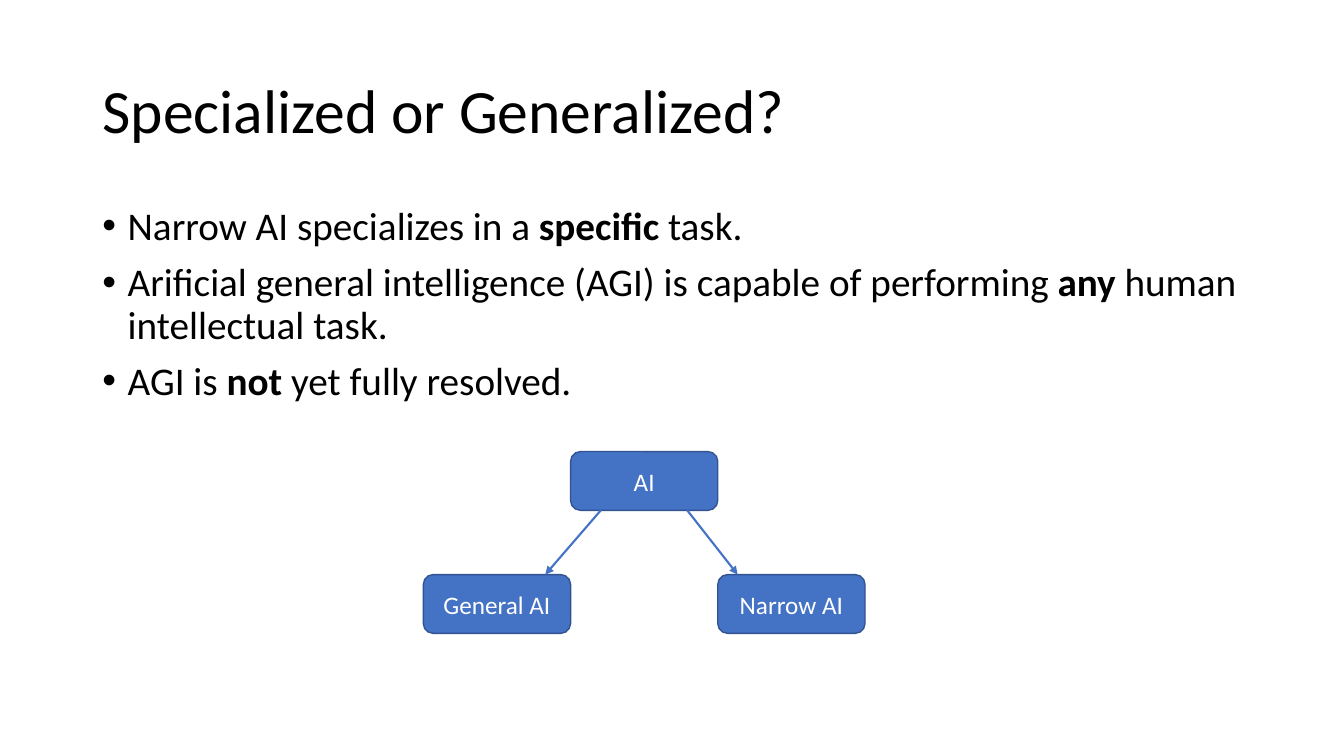
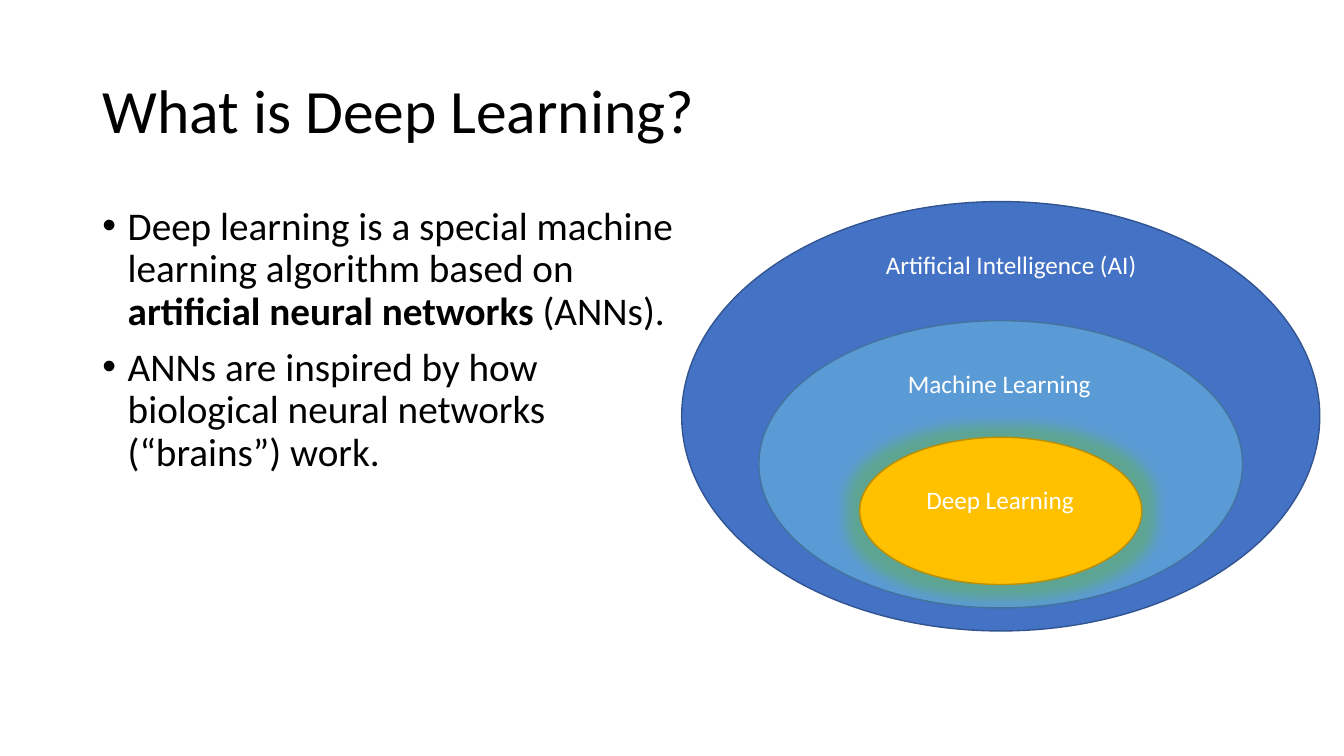
import pptx
import pptx.util
import pptx.dml.color
import pptx.enum.shapes
import pptx.enum.text
import pptx.oxml
import pptx.oxml.ns
from lxml import etree

Cm, Pt = pptx.util.Cm, pptx.util.Pt
SHAPE = pptx.enum.shapes.MSO_SHAPE
ALIGN = pptx.enum.text.PP_ALIGN
ANCHOR = pptx.enum.text.MSO_ANCHOR
FIT = pptx.enum.text.MSO_AUTO_SIZE

# Content: body paragraphs are lists of (text, bold) runs
SPECIALIZED = {
    "title": "Specialized or Generalized?",
    "body_width": 29.21,
    "body": [
        [("Narrow AI specializes in a ", False), ("specific", True), (" task.", False)],
        [("Arificial general intelligence (AGI) is capable of performing ", False),
         ("any", True), (" human intellectual task.", False)],
        [("AGI is ", False), ("not", True), (" yet fully resolved.", False)],
    ],
}
DEEP = {
    "title": "What is Deep Learning?",
    "body_width": 15.01,
    "body": [
        [("Deep learning is a special machine learning algorithm based on ", False),
         ("artificial neural networks", True), (" (ANNs).", False)],
        [("ANNs are inspired by how biological neural networks (“brains”) work.", False)],
    ],
}
# Tree nodes: text, column, row
NODES = [("AI", 1, 0), ("Narrow AI", 2, 1), ("General AI", 0, 1)]
# Arrows: x at the parent's bottom, x at the child's top
ARROWS = [(15.14, 13.74), (17.32, 18.59)]
# Nested fields: label, label centre, label width, top, width, height, fill, line
FIELDS = [
    ("Artificial Intelligence (AI)", 25.53, 6.91, 5.08, 16.08, 10.82, "blue", "blue_line"),
    ("Machine Learning", 25.22, 5.18, 8.08, 12.19, 7.24, "sky", "sky_line"),
    ("Deep Learning", 25.24, 4.29, 11.02, 7.11, 3.71, "gold", "gold_line"),
]

# Shared look
COLORS = {
    "text": "000000", "white": "FFFFFF", "glow": "62B52E",
    "blue": "4472C4", "blue_line": "325491",
    "sky": "5B9BD5", "sky_line": "43739E",
    "gold": "FFC000", "gold_line": "BD8E00",
}
FONT = "Calibri"
TITLE = {"size": Pt(44), "name": FONT, "bold": False}
BODY = {"size": Pt(28), "name": FONT}
LABEL = {"size": Pt(18), "name": FONT}
LEFT = 2.33
NODE_W, NODE_H = 3.71, 1.48
TREE_LEFT, TREE_TOP, ROW_STEP = 10.67, 11.38, 3.1
FIELD_CENTRE, LABEL_DROP, LABEL_H = 25.22, 1.07, 1.02


def rgb(name):
    return pptx.dml.color.RGBColor.from_string(COLORS[name])


def set_all(target, values):
    for key, value in values.items():
        setattr(target, key, value)


def set_font(font, values, color):
    set_all(font, values)
    font.color.rgb = rgb(color)


def place(sp, *box):
    set_all(sp, dict(zip(("left", "top", "width", "height"), map(Cm, box))))


def add_bullet(p):
    pPr = p._p.get_or_add_pPr()
    pPr.set("marL", str(Cm(0.64)))
    pPr.set("indent", str(-Cm(0.64)))
    for tag, key, value in (("a:buFont", "typeface", "Arial"), ("a:buChar", "char", "•")):
        etree.SubElement(pPr, pptx.oxml.ns.qn(tag)).set(key, value)


def add_slide(prs, content):
    s = prs.slides.add_slide(prs.slide_layouts[5])
    # Title
    sp = s.shapes.title
    place(sp, LEFT, 1.01, 29.21, 3.68)
    tf = sp.text_frame
    tf.text = content["title"]
    set_all(tf, {"word_wrap": True, "vertical_anchor": ANCHOR.MIDDLE, "auto_size": FIT.NONE})
    p = tf.paragraphs[0]
    set_all(p, {"alignment": ALIGN.LEFT, "line_spacing": 0.9})
    set_font(p.runs[0].font, TITLE, "text")
    # Bulleted body
    tf = s.shapes.add_textbox(Cm(LEFT), Cm(5.08), Cm(content["body_width"]), Cm(12.09)).text_frame
    tf.word_wrap = True
    for i, runs in enumerate(content["body"]):
        p = tf.add_paragraph() if i else tf.paragraphs[0]
        add_bullet(p)
        set_all(p, {"line_spacing": 0.9, "space_before": Pt(10 if i else 0)})
        for text, bold in runs:
            r = p.add_run()
            r.text = text
            set_font(r.font, {**BODY, "bold": bold}, "text")
    return s


def add_filled(s, kind, box, fill, line):
    sp = s.shapes.add_shape(kind, *map(Cm, box))
    sp.shadow.inherit = False
    sp.fill.solid()
    sp.fill.fore_color.rgb = rgb(fill)
    sp.line.color.rgb = rgb(line)
    sp.line.width = Pt(1)
    return sp


def add_label(sp, text, align, wrap):
    tf = sp.text_frame
    tf.text = text
    tf.word_wrap = wrap
    p = tf.paragraphs[0]
    p.alignment = align
    set_font(p.runs[0].font, LABEL, "white")
    return tf


def add_arrow(s, x1, y1, x2, y2):
    cx = s.shapes.add_connector(pptx.enum.shapes.MSO_CONNECTOR.STRAIGHT,
                                *map(Cm, (x1, y1, x2, y2)))
    cx.line.color.rgb = rgb("blue")
    cx.line.width = Pt(1.5)
    etree.SubElement(cx.line._get_or_add_ln(), pptx.oxml.ns.qn("a:tailEnd")).set("type", "triangle")
    etree.SubElement(cx._element.spPr, pptx.oxml.ns.qn("a:effectLst"))


def add_glow(sp, color, radius, alpha):
    effects = sp._element.spPr.find(pptx.oxml.ns.qn("a:effectLst"))
    effects.append(pptx.oxml.parse_xml(
        f'<a:glow {pptx.oxml.ns.nsdecls("a")} rad="{Cm(radius)}">'
        f'<a:srgbClr val="{COLORS[color]}"><a:alpha val="{alpha * 1000}"/></a:srgbClr></a:glow>'))


def add_tree(s):
    for text, col, row in NODES:
        box = (TREE_LEFT + col * NODE_W, TREE_TOP + row * ROW_STEP, NODE_W, NODE_H)
        sp = add_filled(s, SHAPE.ROUNDED_RECTANGLE, box, "blue", "blue_line")
        add_label(sp, text, ALIGN.CENTER, True).vertical_anchor = ANCHOR.MIDDLE
    for x1, x2 in ARROWS:
        add_arrow(s, x1, TREE_TOP + NODE_H, x2, TREE_TOP + ROW_STEP)


def add_fields(s):
    for _, _, _, top, w, h, fill, line in FIELDS:
        sp = add_filled(s, SHAPE.OVAL, (FIELD_CENTRE - w / 2, top, w, h), fill, line)
    add_glow(sp, "glow", 0.64, 40)  # innermost field
    for text, centre, w, top, *_ in FIELDS:
        box = (centre - w / 2, top + LABEL_DROP, w, LABEL_H)
        sp = s.shapes.add_textbox(*map(Cm, box))
        add_label(sp, text, ALIGN.LEFT, False).auto_size = FIT.SHAPE_TO_FIT_TEXT


def main():
    prs = pptx.Presentation()
    prs.slide_width, prs.slide_height = Cm(33.87), Cm(19.05)
    add_tree(add_slide(prs, SPECIALIZED))
    add_fields(add_slide(prs, DEEP))
    prs.save("out.pptx")


if __name__ == "__main__":
    main()
